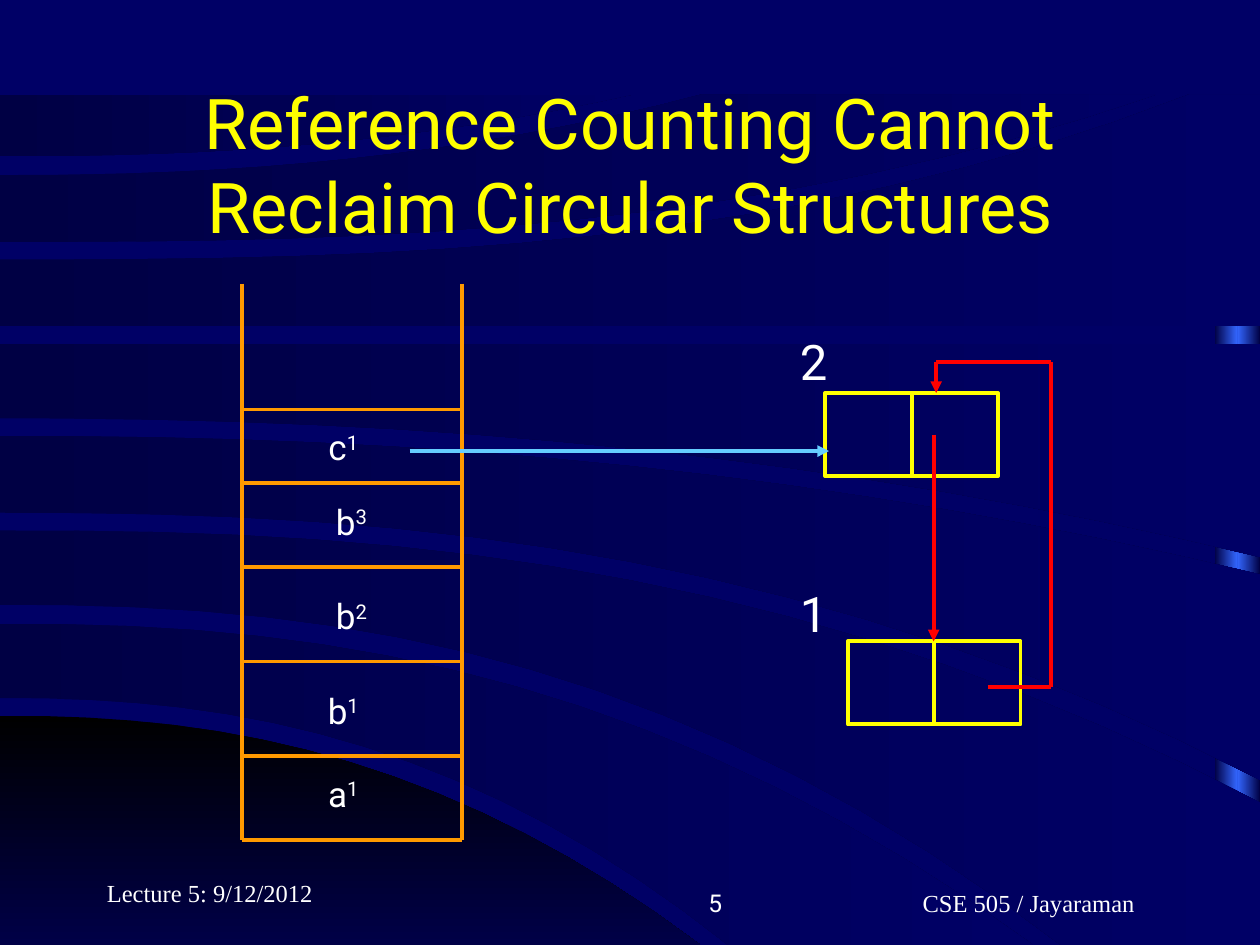
from pptx import Presentation
from pptx.dml.color import RGBColor
from pptx.enum.shapes import MSO_CONNECTOR, MSO_SHAPE
from pptx.enum.text import MSO_ANCHOR, PP_ALIGN
from pptx.oxml.ns import qn
from pptx.util import Inches, Pt
from lxml import etree

STRAIGHT = MSO_CONNECTOR.STRAIGHT
RECTANGLE = MSO_SHAPE.RECTANGLE
TOP, MIDDLE, BOTTOM = MSO_ANCHOR.TOP, MSO_ANCHOR.MIDDLE, MSO_ANCHOR.BOTTOM
LEFT, CENTER, RIGHT = PP_ALIGN.LEFT, PP_ALIGN.CENTER, PP_ALIGN.RIGHT

NAVY = RGBColor.from_string("000066")
MID_NAVY = RGBColor.from_string("000047")
DARK_NAVY = RGBColor.from_string("000044")
BLACK = RGBColor.from_string("000000")
BLUE = RGBColor.from_string("3366FF")
YELLOW = RGBColor.from_string("FFFF00")
ORANGE = RGBColor.from_string("FF9900")
RED = RGBColor.from_string("FF0000")
SKY = RGBColor.from_string("66CCFF")
WHITE = RGBColor.from_string("FFFFFF")

COLUMNS, ROWS = 100, 75
CURVE_STEPS = 16
BAND_TOP = 7.5
SANS, SERIF = "Roboto", "Times New Roman"


def curve(start, end_x, end_y, power=1):
    steps = 1 if start == end_y else CURVE_STEPS
    shares = [step / steps for step in range(steps + 1)]
    return [(end_x * share, start + (end_y - start) * share ** power) for share in shares]


HILL = (curve(56.8, 55.6, ROWS, 2.3), curve(ROWS, 55.6, ROWS))
BANDS = [
    (curve(49.5, 82, ROWS, 2.35), curve(55.4, 57.8, ROWS, 2.35)),
    (curve(42.1, COLUMNS, 63.7, 2.45), curve(48, 84.2, ROWS, 2.4)),
    (curve(34.6, COLUMNS, 45.6, 2.2), curve(40.7, COLUMNS, 61.9, 2.45)),
    (curve(27.3, COLUMNS, 27.3), curve(33.2, COLUMNS, 44.2, 2.2)),
    (curve(20.6, 94.4, BAND_TOP, 2.8), curve(25.9, COLUMNS, 25.9)),
    (curve(13.9, 55.7, BAND_TOP, 2.3), curve(19.2, 91.8, BAND_TOP, 2.7)),
    (curve(BAND_TOP, 50.2, BAND_TOP), curve(12.4, 50.2, BAND_TOP, 2.3)),
]


class Canvas:
    def __init__(self, presentation):
        self.slide = presentation.slides.add_slide(presentation.slide_layouts[6])
        self.column = presentation.slide_width / COLUMNS
        self.row = presentation.slide_height / ROWS
        self.stroke = Pt(2.25)
        background = self.slide.background.fill
        background.solid()
        background.fore_color.rgb = NAVY

    def place(self, x, y):
        return round(x * self.column), round(y * self.row)

    def shade(self, shape, start, end, angle=0):
        shape.shadow.inherit = False
        shape.line.fill.background()
        shape.fill.gradient()
        shape.fill.gradient_angle = angle
        for stop, color in zip(shape.fill.gradient_stops, (start, end)):
            stop.color.rgb = color

    def band(self, upper, lower, start, end, angle=0):
        (upper_x, upper_y), (lower_x, lower_y) = upper[-1], lower[-1]
        corner = (max(upper_x, lower_x), upper_y if upper_x < lower_x else lower_y)
        points = [self.place(*point) for point in upper + [corner] + lower[::-1]]
        builder = self.slide.shapes.build_freeform(*points[0])
        builder.add_line_segments(points[1:], close=True)
        self.shade(builder.convert_to_shape(), start, end, angle)

    def box(self, x, y, width, height):
        shape = self.slide.shapes.add_shape(
            RECTANGLE, *self.place(x, y), *self.place(width, height))
        shape.shadow.inherit = False
        return shape

    def line(self, start, end, color, arrow=False):
        connector = self.slide.shapes.add_connector(
            STRAIGHT, *self.place(*start), *self.place(*end))
        connector.line.color.rgb = color
        connector.line.width = self.stroke
        if arrow:
            outline = connector._element.spPr.find(qn("a:ln"))
            etree.SubElement(outline, qn("a:tailEnd"), type="triangle")
        etree.SubElement(connector._element.spPr, qn("a:effectLst"))

    def route(self, points, color):
        for index in range(1, len(points)):
            self.line(points[index - 1], points[index], color, index == len(points) - 1)

    def pair(self, x, y, width=13.7, height=6.6):
        cell = self.box(x, y, width, height)
        cell.fill.background()
        cell.line.color.rgb = YELLOW
        cell.line.width = self.stroke
        middle = x + width / 2
        self.line((middle, y), (middle, y + height), YELLOW)

    def text(self, words, x, y, width, height, size, font=SANS, color=WHITE,
             align=LEFT, anchor=TOP, wrap=True, superscript=None):
        shape = self.slide.shapes.add_textbox(*self.place(x, y), *self.place(width, height))
        frame = shape.text_frame
        frame.word_wrap = wrap
        frame.vertical_anchor = anchor
        paragraph = frame.paragraphs[0]
        paragraph.text = words
        paragraph.alignment = align
        if superscript:
            raised = paragraph.add_run()
            raised.text = superscript
            raised._r.get_or_add_rPr().set("baseline", "30000")
        for run in paragraph.runs:
            for name, value in {"name": font, "size": Pt(size)}.items():
                setattr(run.font, name, value)
            run.font.color.rgb = color


def main():
    presentation = Presentation()
    presentation.slide_width, presentation.slide_height = Inches(10), Inches(7.5)
    canvas = Canvas(presentation)

    for x, start, end in ((96.4, DARK_NAVY, BLUE), (98.2, BLUE, DARK_NAVY)):
        canvas.shade(canvas.box(x, BAND_TOP, 1.8, ROWS - BAND_TOP), start, end)
    canvas.band(*HILL, BLACK, MID_NAVY, 270)
    for upper, lower in BANDS:
        canvas.band(upper, lower, DARK_NAVY, NAVY)

    canvas.text("Reference Counting Cannot\vReclaim Circular Structures", 7.5, 6.7, 85, 12.5,
                40, color=YELLOW, align=CENTER, anchor=MIDDLE)

    stack_left, stack_right, stack_top, stack_bottom = 19.2, 36.7, 22.5, 66.7
    for x in (stack_left, stack_right):
        canvas.line((x, stack_top), (x, stack_bottom), ORANGE)
    for y in (32.5, 38.3, 45, 52.5, 60, stack_bottom):
        canvas.line((stack_left, y), (stack_right, y), ORANGE)
    for label, y, width in (("c1", 33.3, 4.5), ("b3", 39.2, 5.8), ("b2", 46.7, 5.8),
                            ("b1", 54.2, 4.5), ("a1", 60.8, 4.5)):
        letter, count = label
        canvas.text(letter, 25, y, width, 4.4, 20, align=CENTER, wrap=False, superscript=count)

    for count, label_top, x, y in (("2", 25.8, 65.5, 31.2), ("1", 45.8, 67.3, 50.9)):
        canvas.pair(x, y)
        canvas.text(count, 62.5, label_top, 4.2, 5.7, 28, wrap=False)

    canvas.route([(74.1, 34.5), (74.1, 50.9)], RED)
    canvas.route([(78.4, 54.5), (83.4, 54.5), (83.4, 28.7), (74.3, 28.7), (74.3, 31.2)], RED)
    canvas.route([(32.5, 35.8), (65.8, 35.8)], SKY)

    for words, x, y, width, font, align in (
            ("Lecture 5: 9/12/2012", 7.5, 67.5, 20.8, SERIF, LEFT),
            ("5", 37.5, 68.3, 20.8, SANS, RIGHT),
            ("CSE 505 / Jayaraman", 65.8, 68.3, 31.7, SERIF, CENTER)):
        canvas.text(words, x, y, width, 5, 14, font, align=align, anchor=BOTTOM)

    presentation.save("out.pptx")


if __name__ == "__main__":
    main()
